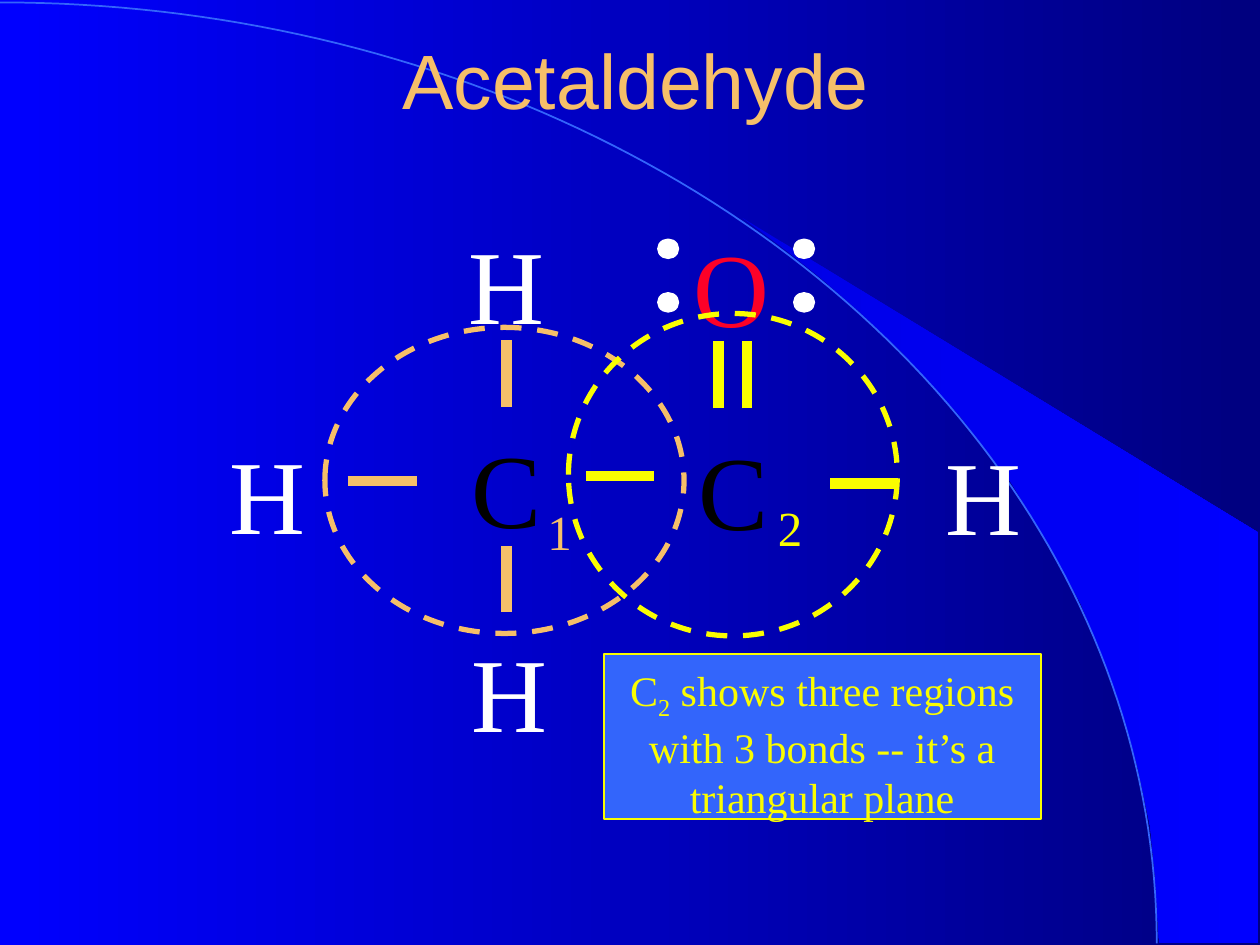
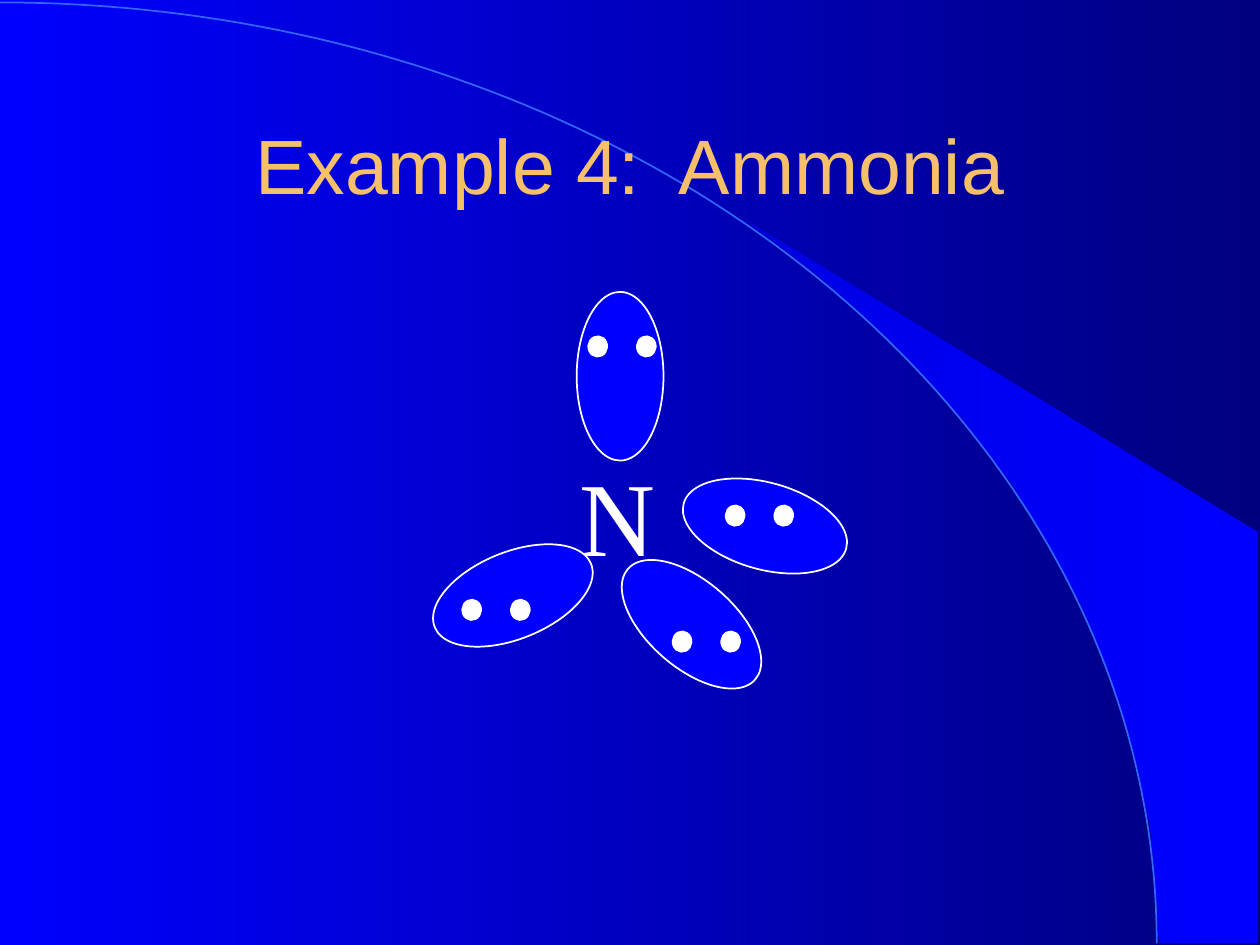
"""Build two molecular geometry slides: acetaldehyde and ammonia."""
import math

import pptx
import pptx.dml.color
import pptx.enum.dml
import pptx.enum.shapes
import pptx.enum.text
import pptx.util
from lxml import etree

Cm, Pt = pptx.util.Cm, pptx.util.Pt
SHAPES = pptx.enum.shapes.MSO_SHAPE
HEX = {
    "blue": "0000FF", "navy": "00007F", "band": "0000E5", "sky": "3365FB",
    "orange": "F6BF69", "yellow": "FAFD00", "red": "FC0128",
    "white": "FFFFFF", "black": "000000",
}
COLORS = {name: pptx.dml.color.RGBColor.from_string(code) for name, code in HEX.items()}
SERIF = "Times New Roman"
DOT = (0.38, 0.41)


def write(shape, text, size, color):
    frame = shape.text_frame
    frame.word_wrap = True
    frame.vertical_anchor = pptx.enum.text.MSO_ANCHOR.TOP
    frame.margin_top = Cm(round(0.13 + 0.0035 * size, 2))
    paragraph = frame.paragraphs[0]
    paragraph.text = text
    paragraph.alignment = pptx.enum.text.PP_ALIGN.CENTER
    paragraph.font.name = SERIF
    paragraph.font.size = Pt(size)
    paragraph.font.color.rgb = COLORS[color]
    return paragraph


def add_oval(slide, box, outline, weight=1, fill=None, rotation=0):
    oval = slide.shapes.add_shape(SHAPES.OVAL, *map(Cm, box))
    oval.shadow.inherit = False
    oval.rotation = rotation
    oval.line.color.rgb = COLORS[outline]
    oval.line.width = Pt(weight)
    if fill:
        oval.fill.solid()
        oval.fill.fore_color.rgb = COLORS[fill]
    else:
        oval.fill.background()
    return oval


deck = pptx.Presentation()
deck.slide_width, deck.slide_height = Cm(25.4), Cm(19.05)

titles = [
    ("Acetaldehyde", (1.35, 0, 22.94, 3.18)),
    ("Example 4:  Ammonia", (1.91, 1.7, 21.59, 3.18)),
]
for text, box in titles:
    title = deck.slides.add_slide(deck.slide_layouts[5]).shapes.title
    title.left, title.top, title.width, title.height = map(Cm, box)
    title.text = text
    heading = title.text_frame.paragraphs[0]
    heading.font.name = "Arial"
    heading.font.size = Pt(44)
    heading.font.color.rgb = COLORS["orange"]
acetaldehyde, ammonia = deck.slides

beam_points = [
    (23.37, 19), (25.37, 19.02), (25.37, 10.74), (14.96, 4.39), (15.85, 5.05),
    (16.59, 5.64), (17.4, 6.35), (18.19, 7.11), (19.35, 8.38), (20.4, 9.75),
    (21.13, 10.95), (21.79, 12.17), (22.3, 13.41), (22.68, 14.53),
    (22.94, 15.47), (23.19, 16.66), (23.29, 17.68),
]
quarter = [math.radians(90 - degree) for degree in range(91)]
arc_points = [(23.32 * math.cos(a), 19.02 - 18.97 * math.sin(a)) for a in quarter]
backdrop = []
for points, closed in ((beam_points, True), (arc_points, False)):
    vertices = [(Cm(x), Cm(y)) for x, y in points]
    builder = acetaldehyde.shapes.build_freeform(*vertices[0], scale=1)
    builder.add_line_segments(vertices[1:], close=closed)
    outline = builder.convert_to_shape()
    outline.shadow.inherit = False
    backdrop.append(outline)
beam, arc = backdrop
beam.line.fill.background()
arc.fill.background()
arc.line.color.rgb = COLORS["sky"]
arc.line.width = Pt(1)

master = deck.slide_master
gradients = [(master.background.fill, "blue", "navy"), (beam.fill, "band", "blue")]
for fill, start, end in gradients:
    fill.gradient()
    fill.gradient_angle = 0
    for stop, color, position in zip(fill.gradient_stops, (start, end), (0, 1)):
        stop.color.rgb = COLORS[color]
        stop.position = position
for index, piece in enumerate(backdrop):
    piece.element.nvSpPr.cNvPr.set("id", str(100 + index))
    master.shapes.element.insert(2 + index, piece.element)

ATOM, NUMBER = (3.15, 2.79, 60), (1.68, 1.45, 28)
labels = [
    (acetaldehyde, "C", 8.64, 8.2, "black", ATOM),
    (acetaldehyde, "H", 3.81, 8.31, "white", ATOM),
    (acetaldehyde, "O", 13.16, 4.14, "red", ATOM),
    (acetaldehyde, "H", 8.64, 4.09, "white", ATOM),
    (acetaldehyde, "H", 18.24, 8.33, "white", ATOM),
    (acetaldehyde, "H", 8.69, 12.32, "white", ATOM),
    (acetaldehyde, "C", 13.21, 8.23, "black", ATOM),
    (acetaldehyde, "1", 10.44, 9.88, "orange", NUMBER),
    (acetaldehyde, "2", 15.09, 9.8, "yellow", NUMBER),
    (ammonia, "N", 11.05, 8.76, "white", (2.79, 2.82, 60)),
]
for slide, text, left, top, color, (width, height, size) in labels:
    label = slide.shapes.add_textbox(Cm(left), Cm(top), Cm(width), Cm(height))
    write(label, text, size, color)

bonds = [
    (7.01, 9.7, 8.41, 9.7, "orange"),
    (10.21, 8.2, 10.21, 6.86, "orange"),
    (10.21, 12.34, 10.21, 11, "orange"),
    (11.81, 9.6, 13.18, 9.6, "yellow"),
    (14.48, 8.23, 14.48, 6.88, "yellow"),
    (15.06, 8.23, 15.06, 6.88, "yellow"),
    (16.74, 9.75, 18.11, 9.75, "yellow"),
]
for *ends, color in bonds:
    bond = acetaldehyde.shapes.add_connector(
        pptx.enum.shapes.MSO_CONNECTOR.STRAIGHT, *map(Cm, ends))
    bond.line.color.rgb = COLORS[color]
    bond.line.width = Pt(6)
    etree.SubElement(bond.element.spPr, pptx.oxml.ns.qn("a:effectLst"))

regions = [
    ((6.55, 6.6, 7.24, 6.17), "orange"),
    ((11.46, 6.32, 6.63, 6.5), "yellow"),
]
for box, color in regions:
    region = add_oval(acetaldehyde, box, color, 3)
    region.line.dash_style = pptx.enum.dml.MSO_LINE.DASH

callout = acetaldehyde.shapes.add_shape(
    SHAPES.RECTANGLE, Cm(12.17), Cm(13.18), Cm(8.81), Cm(3.33))
callout.shadow.inherit = False
callout.fill.solid()
callout.fill.fore_color.rgb = COLORS["sky"]
callout.line.color.rgb = COLORS["yellow"]
callout.line.width = Pt(1)
remark = write(callout, "C", 24, "yellow")
subscript = remark.add_run()
subscript.text = "2"
subscript.font._element.set("baseline", "-25000")
remark.add_run().text = " shows three regions with 3 bonds -- it’s a triangular plane"

for left in (13.28, 16.02):
    for top in (4.81, 5.89):
        add_oval(acetaldehyde, (left, top, *DOT), "white", fill="white", rotation=270)

lobes = [
    (13.72, 9.73, 15.6, 14.63, 10.19),
    (12.24, 11.71, 41, 13.56, 12.73),
    (8.64, 11.13, 337.9, 9.32, 12.09),
    (10.8, 6.71, 90, 11.86, 6.78),
]
for left, top, angle, pair_left, pair_top in lobes:
    add_oval(ammonia, (left, top, 3.4, 1.75), "white", fill="blue", rotation=angle)
    for electron in range(2):
        add_oval(ammonia, (pair_left + 0.98 * electron, pair_top, *DOT),
                 "white", fill="white", rotation=5.1)

deck.save("out.pptx")
